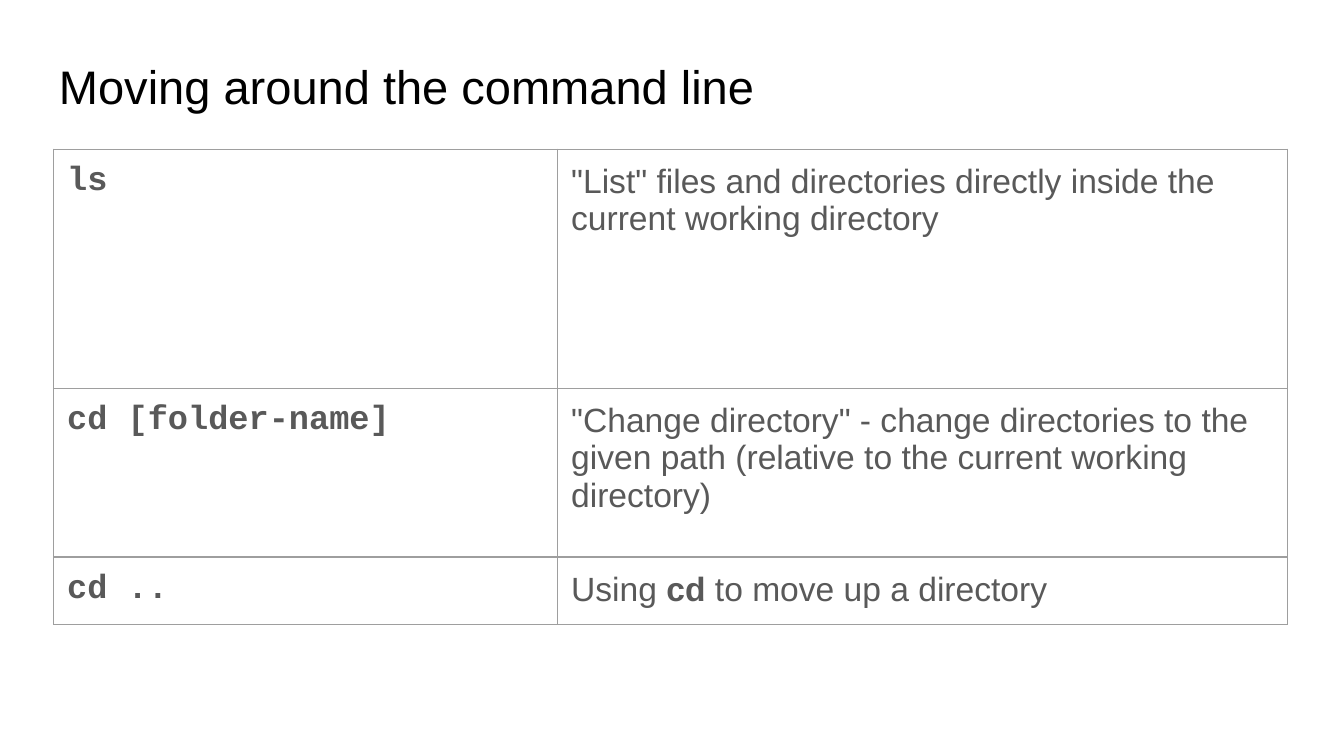
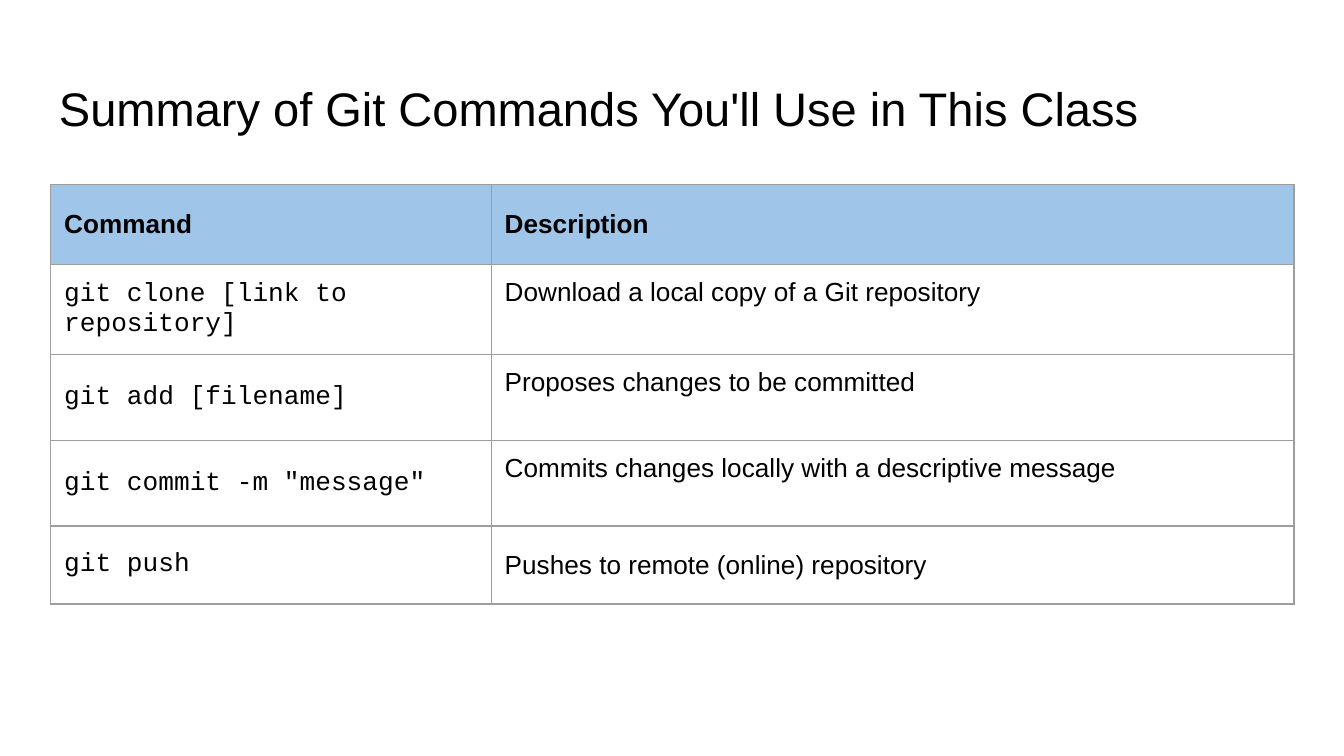
"""Build two slides with tables of command line and Git commands."""
from lxml import etree
from pptx import Presentation
from pptx.dml.color import RGBColor
from pptx.enum.text import MSO_ANCHOR
from pptx.oxml.ns import qn
from pptx.util import Pt

TOP, MIDDLE, BOTTOM = MSO_ANCHOR.TOP, MSO_ANCHOR.MIDDLE, MSO_ANCHOR.BOTTOM
COLORS = {"black": "000000", "gray": "595959", "border": "9E9E9E", "header": "9FC5E8"}
SANS, MONO = "Arial", "Courier New"
INSET = Pt(7.2)
BORDER_WIDTH = Pt(0.75)
BORDER_TAGS = ("a:lnL", "a:lnR", "a:lnT", "a:lnB")


class Deck:
    def __init__(self):
        self.presentation = Presentation()
        self.presentation.slide_width = Pt(720)
        self.presentation.slide_height = Pt(405)
        self.slide = None

    def add_slide(self, title, title_top):
        self.slide = self.presentation.slides.add_slide(self.presentation.slide_layouts[6])
        shape = self.slide.shapes.add_textbox(Pt(24.5), Pt(title_top), Pt(671), Pt(45))
        text_frame = shape.text_frame
        text_frame.word_wrap = True
        text_frame.vertical_anchor = BOTTOM
        text_frame.margin_left = text_frame.margin_right = INSET
        text_frame.margin_top = text_frame.margin_bottom = INSET
        self.add_text(text_frame, title, 25.2, "black")

    def add_text(self, text_frame, text, size, color, font=SANS, bold=False):
        paragraph = text_frame.paragraphs[0]
        for index, part in enumerate(text.split("*")):
            run = paragraph.add_run()
            run.text = part
            run.font.name = font
            run.font.size = Pt(size)
            run.font.bold = bold or index % 2 == 1
            run.font.color.rgb = RGBColor.from_string(COLORS[color])

    def add_table(self, left, top, widths, heights):
        frame = self.slide.shapes.add_table(
            len(heights), len(widths), Pt(left), Pt(top), Pt(sum(widths)), Pt(sum(heights)))
        table = frame.table
        table.first_row = table.horz_banding = False
        for column, width in zip(table.columns, widths):
            column.width = Pt(width)
        for row, height in zip(table.rows, heights):
            row.height = Pt(height)
        return table

    def fill_cell(self, cell, text, size, color, font=SANS, bold=False, anchor=TOP, fill=None):
        cell.margin_left = cell.margin_right = INSET
        cell.margin_top = cell.margin_bottom = INSET
        cell.vertical_anchor = anchor
        self.add_borders(cell)
        if fill:
            cell.fill.solid()
            cell.fill.fore_color.rgb = RGBColor.from_string(COLORS[fill])
        else:
            cell.fill.background()
        self.add_text(cell.text_frame, text, size, color, font, bold)

    def add_borders(self, cell):
        properties = cell._tc.get_or_add_tcPr()
        for tag in BORDER_TAGS:
            line = etree.SubElement(properties, qn(tag), w=str(BORDER_WIDTH))
            solid = etree.SubElement(line, qn("a:solidFill"))
            etree.SubElement(solid, qn("a:srgbClr"), val=COLORS["border"])


def add_navigation_slide(deck):
    deck.add_slide("Moving around the command line", 23)
    commands = [
        ("ls", '"List" files and directories directly inside the current working directory'),
        ("cd [folder-name]", '"Change directory" - change directories to the given path '
                             "(relative to the current working directory)"),
        ("cd ..", "Using *cd *to move up a directory"),
    ]
    table = deck.add_table(28.8, 80, (270, 391), (128, 90.5, 35))
    for row, (command, description) in zip(table.rows, commands):
        deck.fill_cell(row.cells[0], command, 18, "gray", MONO, bold=True)
        deck.fill_cell(row.cells[1], description, 18, "gray")


def add_git_slide(deck):
    deck.add_slide("Summary of Git Commands You'll Use in This Class", 35)
    commands = [
        ("git clone [link to repository]", "Download a local copy of a Git repository", TOP),
        ("git add [filename]", "Proposes changes to be committed", TOP),
        ('git commit -m "message"', "Commits changes locally with a descriptive message", TOP),
        ("git push", "Pushes to remote (online) repository", MIDDLE),
    ]
    table = deck.add_table(27.2, 98.8, (236, 430), (43, 46, 46, 46, 41.8))
    for column, heading in enumerate(("Command", "Description")):
        deck.fill_cell(table.cell(0, column), heading, 14, "black",
                       bold=True, anchor=MIDDLE, fill="header")
    for row, (command, description, anchor) in enumerate(commands, start=1):
        deck.fill_cell(table.cell(row, 0), command, 14, "black", MONO, anchor=MIDDLE)
        deck.fill_cell(table.cell(row, 1), description, 14, "black", anchor=anchor)


def main():
    deck = Deck()
    add_navigation_slide(deck)
    add_git_slide(deck)
    deck.presentation.save("out.pptx")


if __name__ == "__main__":
    main()
